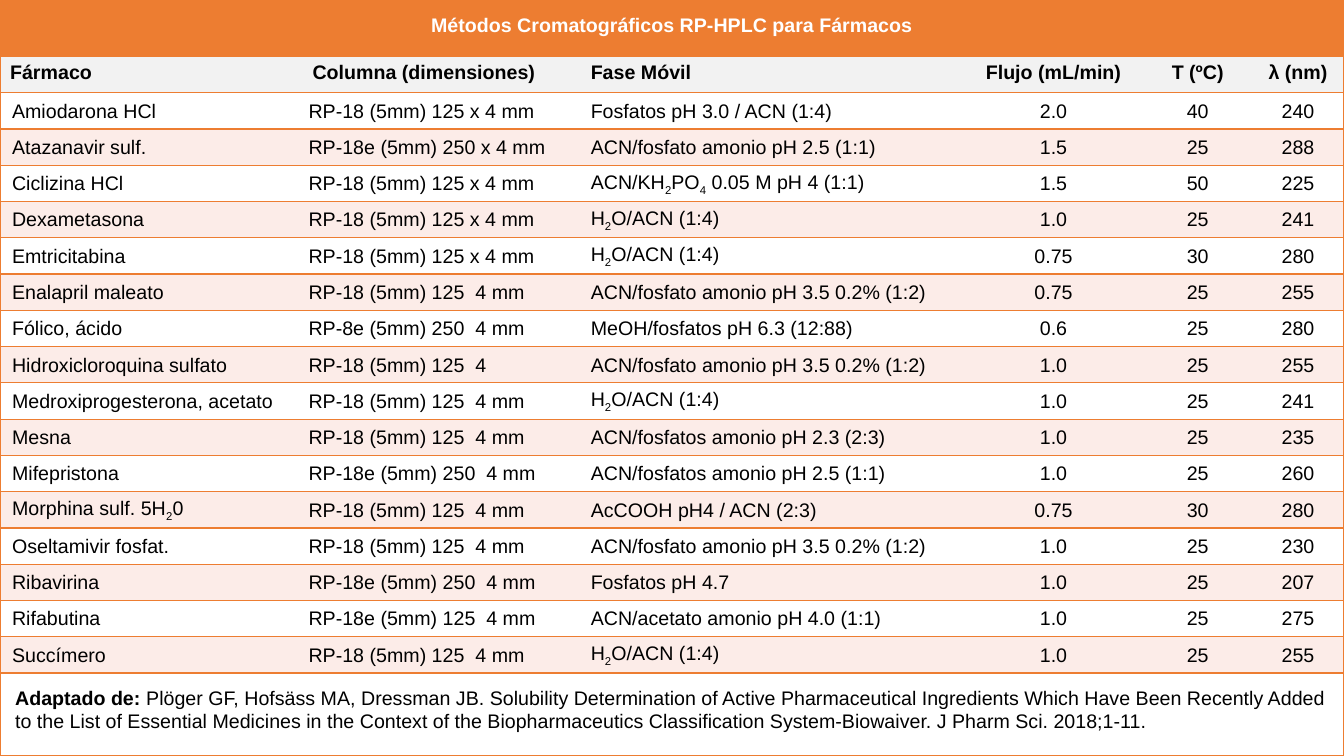
"""Build a one-slide table of RP-HPLC methods for drugs."""
from lxml import etree
from pptx import Presentation
from pptx import util as u
from pptx.dml import color
from pptx.enum import text
from pptx.oxml import ns

COLORS = {"accent": "ED7D31", "head": "F2F2F2", "band": "FCECE8",
          "white": "FFFFFF", "black": "000000"}
COL_WIDTHS = [3, 2.62, 3.94, 1.78, 1.08, 0.91]
TITLE_H, ROW_H, SOURCE_H = 0.56, 0.36, 0.82
TITLE = "Métodos Cromatográficos RP-HPLC para Fármacos"
HEADERS = ["Fármaco", "Columna (dimensiones)", "Fase Móvil",
           "Flujo (mL/min)", "T (ºC)", "λ (nm)"]
DRUGS = [
    ["Amiodarona HCl", "RP-18 (5mm) 125 x 4 mm", "Fosfatos pH 3.0 / ACN (1:4)", "2.0", "40", "240"],
    ["Atazanavir sulf.", "RP-18e (5mm) 250 x 4 mm", "ACN/fosfato amonio pH 2.5 (1:1)", "1.5", "25", "288"],
    ["Ciclizina HCl", "RP-18 (5mm) 125 x 4 mm", "ACN/KH_2PO_4 0.05 M pH 4 (1:1)", "1.5", "50", "225"],
    ["Dexametasona", "RP-18 (5mm) 125 x 4 mm", "H_2O/ACN (1:4)", "1.0", "25", "241"],
    ["Emtricitabina", "RP-18 (5mm) 125 x 4 mm", "H_2O/ACN (1:4)", "0.75", "30", "280"],
    ["Enalapril maleato", "RP-18 (5mm) 125  4 mm", "ACN/fosfato amonio pH 3.5 0.2% (1:2)", "0.75", "25", "255"],
    ["Fólico, ácido", "RP-8e (5mm) 250  4 mm", "MeOH/fosfatos pH 6.3 (12:88)", "0.6", "25", "280"],
    ["Hidroxicloroquina sulfato", "RP-18 (5mm) 125  4", "ACN/fosfato amonio pH 3.5 0.2% (1:2)", "1.0", "25", "255"],
    ["Medroxiprogesterona, acetato", "RP-18 (5mm) 125  4 mm", "H_2O/ACN (1:4)", "1.0", "25", "241"],
    ["Mesna", "RP-18 (5mm) 125  4 mm", "ACN/fosfatos amonio pH 2.3 (2:3)", "1.0", "25", "235"],
    ["Mifepristona", "RP-18e (5mm) 250  4 mm", "ACN/fosfatos amonio pH 2.5 (1:1)", "1.0", "25", "260"],
    ["Morphina sulf. 5H_20", "RP-18 (5mm) 125  4 mm", "AcCOOH pH4 / ACN (2:3)", "0.75", "30", "280"],
    ["Oseltamivir fosfat.", "RP-18 (5mm) 125  4 mm", "ACN/fosfato amonio pH 3.5 0.2% (1:2)", "1.0", "25", "230"],
    ["Ribavirina", "RP-18e (5mm) 250  4 mm", "Fosfatos pH 4.7", "1.0", "25", "207"],
    ["Rifabutina", "RP-18e (5mm) 125  4 mm", "ACN/acetato amonio pH 4.0 (1:1)", "1.0", "25", "275"],
    ["Succímero", "RP-18 (5mm) 125  4 mm", "H_2O/ACN (1:4)", "1.0", "25", "255"],
]
SOURCE_LABEL = "Adaptado de: "
SOURCE = ("Plöger GF, Hofsäss MA, Dressman JB. Solubility Determination of Active "
          "Pharmaceutical Ingredients Which Have Been Recently Added to the List of "
          "Essential Medicines in the Context of the Biopharmaceutics Classification "
          "System-Biowaiver. J Pharm Sci. 2018;1-11.")


class Deck:
    """Hold the text style and the current slide."""

    def __init__(self, s, font="Arial", size=14):
        self.s, self.font, self.size = s, font, size

    def table(self, widths, heights):
        """Add a plain table filling the slide from its top left corner."""
        frame = self.s.shapes.add_table(
            len(heights), len(widths), 0, 0,
            u.Inches(sum(widths)), u.Inches(sum(heights)))
        table = frame.table
        table.first_row = table.horz_banding = False
        for column, width in zip(table.columns, widths):
            column.width = u.Inches(width)
        for row, height in zip(table.rows, heights):
            row.height = u.Inches(height)
        return table

    def borders(self, cell, sides):
        """Draw accent lines on the given sides and none on the others."""
        tcPr = cell._tc.get_or_add_tcPr()
        for side in "LRTB":
            ln = etree.SubElement(tcPr, ns.qn("a:ln" + side), w=str(u.Pt(1)))
            if side in sides:
                fill = etree.SubElement(ln, ns.qn("a:solidFill"))
                etree.SubElement(fill, ns.qn("a:srgbClr"), val=COLORS["accent"])
            else:
                etree.SubElement(ln, ns.qn("a:noFill"))

    def run(self, p, value, ink="black", bold=False, lowered=False):
        """Append one styled run, as a subscript when lowered."""
        r = p.add_run()
        r.text = value
        r.font.name, r.font.size, r.font.bold = self.font, u.Pt(self.size), bold
        r.font.color.rgb = color.RGBColor.from_string(COLORS[ink])
        if lowered:
            r._r.get_or_add_rPr().set("baseline", "-25000")

    def cell(self, cell, value, fill, insets, sides="TB", center=False,
             middle=False, ink="black", bold=False):
        """Style a cell and write text where _ lowers the next character."""
        self.borders(cell, sides)
        cell.fill.solid()
        cell.fill.fore_color.rgb = color.RGBColor.from_string(COLORS[fill])
        (cell.margin_left, cell.margin_top,
         cell.margin_right, cell.margin_bottom) = map(u.Inches, insets)
        cell.vertical_anchor = text.MSO_ANCHOR.MIDDLE if middle else text.MSO_ANCHOR.TOP
        p = cell.text_frame.paragraphs[0]
        p.alignment = text.PP_ALIGN.CENTER if center else text.PP_ALIGN.LEFT
        plain, *lowered = value.split("_")
        if plain:
            self.run(p, plain, ink, bold)
        for part in lowered:
            self.run(p, part[0], ink, bold, lowered=True)
            self.run(p, part[1:], ink, bold)
        return p

    def banner(self, table, row, *args, **style):
        """Merge a whole row and write it as one framed cell."""
        cells = list(table.rows[row].cells)
        cells[0].merge(cells[-1])
        for cell in cells[1:]:
            self.borders(cell, "LRTB")
        return self.cell(cells[0], *args, insets=[0.15] * 4, sides="LRTB", **style)


prs = Presentation()
prs.slide_width, prs.slide_height = u.Inches(13.33), u.Inches(7.5)
deck = Deck(prs.slides.add_slide(prs.slide_layouts[6]))
grid = [HEADERS] + DRUGS
table = deck.table(COL_WIDTHS, [TITLE_H] + [ROW_H] * len(grid) + [SOURCE_H])

deck.banner(table, 0, TITLE, "accent", center=True, ink="white", bold=True)
HEAD_LEFT = [0.1, 0.1, 0.24, 0.1, 0.1, 0.1]
BODY_LEFT = [0.12, 0.06, 0.24, 0.01, 0.01, 0.01]
last = len(COL_WIDTHS) - 1
for i, values in enumerate(grid):
    head = i == 0
    fill = "head" if head else ("white" if i % 2 else "band")
    for j, value in enumerate(values):
        insets = [HEAD_LEFT[j], 0.05, 0.1, 0.05] if head else [BODY_LEFT[j], 0.01, 0.01, 0]
        sides = "TB" + ("L" if j == 0 else "R" if j == last else "")
        deck.cell(table.cell(i + 1, j), value, fill, insets, sides,
                  center=j > 2, middle=not head, bold=head)
p = deck.banner(table, len(grid) + 1, SOURCE_LABEL, "white", bold=True)
deck.run(p, SOURCE)

prs.save("out.pptx")
